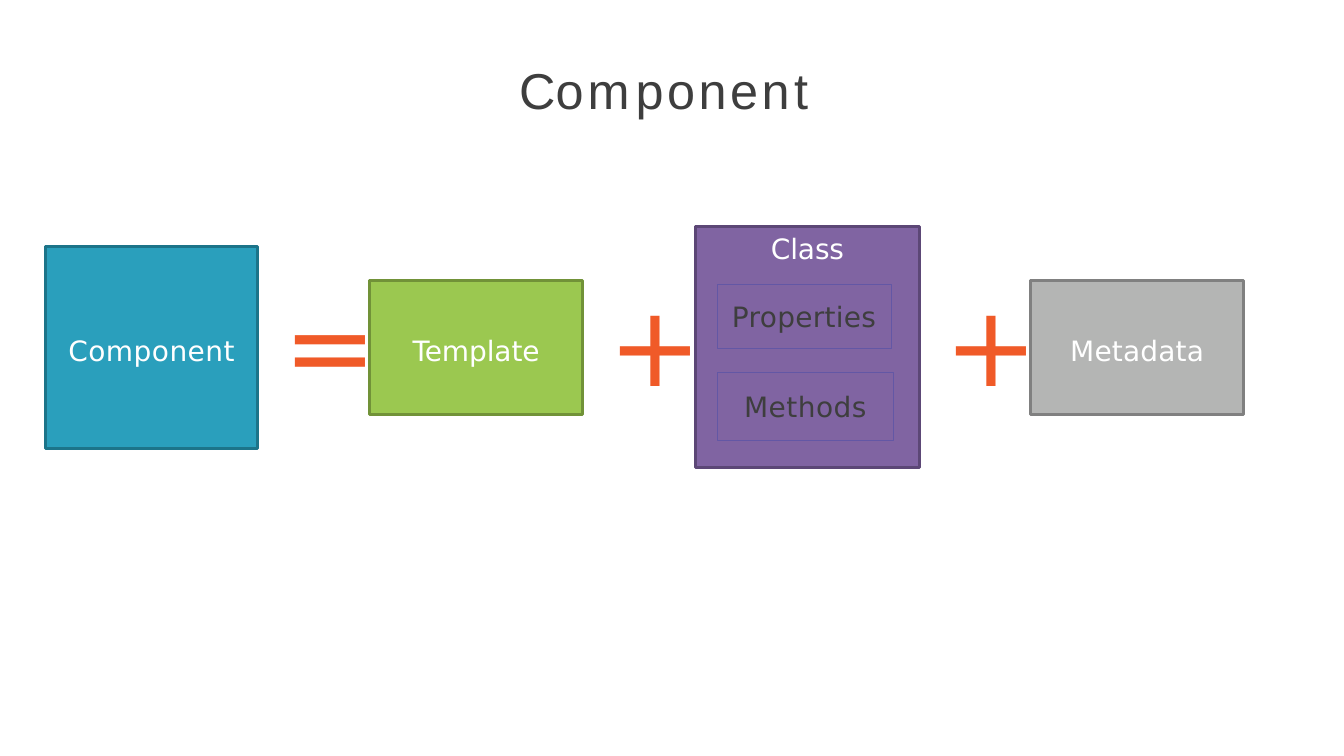
from pptx import Presentation
from pptx.dml.color import RGBColor
from pptx.enum.shapes import MSO_SHAPE
from pptx.enum.text import MSO_ANCHOR, PP_ALIGN
from pptx.util import Cm, Pt

RECT = MSO_SHAPE.RECTANGLE
TOP, MIDDLE = MSO_ANCHOR.TOP, MSO_ANCHOR.MIDDLE
LEFT, CENTER = PP_ALIGN.LEFT, PP_ALIGN.CENTER
SANS = "DejaVu Sans"
WHITE, DARK, ORANGE = "FFFFFF", "3E3E3E", "F05A28"
MID = 8.75  # height of the row's centre line, cm


def color(code):
    return RGBColor.from_string(code)


def write(shape, runs, size, font, ink, align=CENTER, anchor=MIDDLE, inset=0, wrap=True):
    """Fill a shape with one paragraph of (text, letter spacing in points) runs."""
    frame = shape.text_frame
    frame.word_wrap = wrap
    frame.vertical_anchor = anchor
    frame.margin_left = frame.margin_right = frame.margin_bottom = 0
    frame.margin_top = Cm(inset)
    para = frame.paragraphs[0]
    para.alignment = align
    for text, gap in runs:
        run = para.add_run()
        run.text = text
        run.font.size, run.font.name = Pt(size), font
        run.font.color.rgb = color(ink)
        run._r.get_or_add_rPr().set("spc", str(round(gap * 100)))


def add_title(slide, x, y, w, h):
    title = slide.shapes.title
    title.left, title.top, title.width, title.height = map(Cm, (x, y, w, h))
    runs = [("C", 0.1), ("o", 2.9), ("m", 4.3), ("pon", 2.5), ("e", 2.4), ("nt", 3.2)]
    write(title, runs, 36, "Arial", DARK, LEFT, TOP, 0.03, False)


def add_box(slide, x, y, w, h, text, gap, fill, edge, width=2.04, ink=WHITE,
            anchor=MIDDLE, inset=0.15):
    box = slide.shapes.add_shape(RECT, Cm(x), Cm(y), Cm(w), Cm(h))
    box.shadow.inherit = False
    if fill:
        box.fill.solid()
        box.fill.fore_color.rgb = color(fill)
    else:
        box.fill.background()
    box.line.color.rgb = color(edge)
    box.line.width = Pt(width)
    write(box, [(text, gap)], 20, SANS, ink, anchor=anchor, inset=inset)


def add_sign(slide, x, text):
    h = 3.45
    sign = slide.shapes.add_textbox(Cm(x), Cm(MID - h / 2 - 0.14), Cm(1.85), Cm(h))
    write(sign, [(text, -14.8)], 80, SANS, ORANGE, LEFT, TOP, 0.03, False)


def add_class(slide, x, y, w, h):
    add_box(slide, x, y, w, h, "Class", -0.1, "8064A2", "5C4776", anchor=TOP, inset=0.12)
    members = [("Properties", 0.2, 1.45, 4.39, 1.63), ("Methods", 0.3, 3.68, 4.45, 1.7)]
    for text, gap, down, wide, high in members:
        add_box(slide, x + 0.54, y + down, wide, high, text, gap, None, "6357A5",
                0.72, DARK, inset=0)


def add_sum(slide):
    """Place the row: component = template + class + metadata."""
    w, h = 5.36, 3.38
    add_box(slide, 1.14, 6.22, w, 5.08, "Component", 0.3, "2A9FBC", "1C7489")
    add_box(slide, 9.32, 7.06, w, h, "Template", -0.1, "9BC850", "719238")
    add_class(slide, 17.53, 5.71, 5.64, 6.07)
    add_box(slide, 25.98, 7.06, w, h, "Metadata", 0.1, "B4B5B4", "808080")
    for x, text in ((7.14, "="), (15.34, "+"), (23.8, "+")):
        add_sign(slide, x, text)


def main():
    deck = Presentation()
    deck.slide_width, deck.slide_height = Cm(33.87), Cm(19.05)
    slide = deck.slides.add_slide(deck.slide_layouts[5])
    add_title(slide, 13.08, 1.45, 7.47, 1.6)
    add_sum(slide)
    deck.save("out.pptx")


if __name__ == "__main__":
    main()
